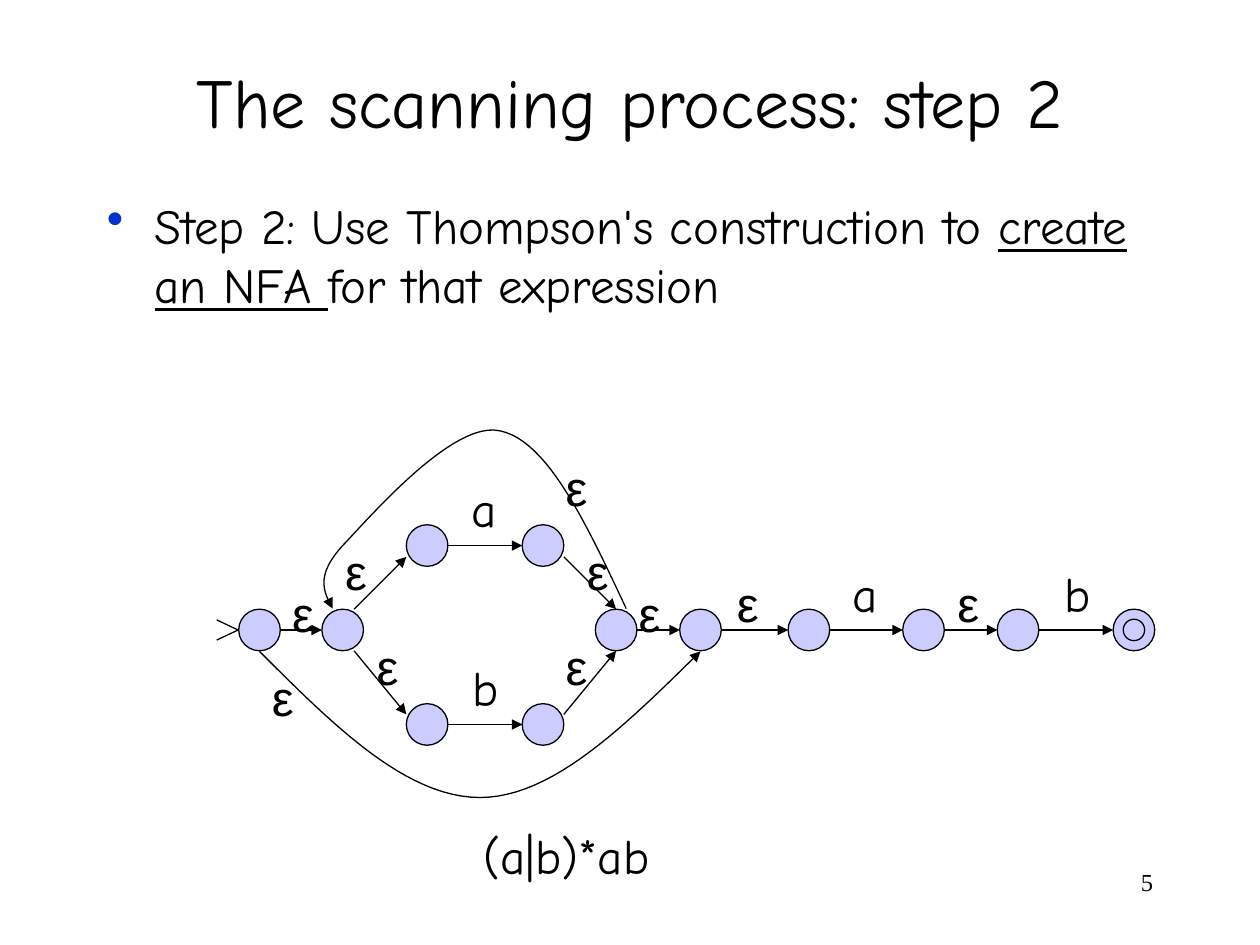
from dataclasses import dataclass

import pptx
import pptx.dml.color
import pptx.enum.shapes
import pptx.enum.text
import pptx.oxml.ns
import pptx.util
from lxml import etree
from pptx.util import Inches

ALIGN = pptx.enum.text.PP_ALIGN
ANCHOR = pptx.enum.text.MSO_ANCHOR


@dataclass(frozen=True)
class Theme:
    ink: str = "000000"
    state: str = "CCCCFF"
    bullet: str = "0033CC"
    hand: str = "Comic Neue"
    symbol: str = "Arial"
    serif: str = "Times New Roman"
    title_size: int = 40
    body_size: int = 28
    number_size: int = 14
    line_width: float = 0.75


def rgb(value):
    return pptx.dml.color.RGBColor.from_string(value)


def add_element(parent, tag, **attributes):
    return etree.SubElement(parent, pptx.oxml.ns.qn(tag), attributes)


def bezier(p0, p1, p2, p3, steps=24):
    """Points along a cubic curve, without its first point."""
    for step in range(1, steps + 1):
        t = step / steps
        weights = ((1 - t) ** 3, 3 * t * (1 - t) ** 2, 3 * t * t * (1 - t), t ** 3)
        yield tuple(sum(w * p[axis] for w, p in zip(weights, (p0, p1, p2, p3)))
                    for axis in (0, 1))


class AutomatonSlide:
    def __init__(self, presentation, theme):
        self.theme = theme
        self.slide = presentation.slides.add_slide(presentation.slide_layouts[6])
        self.shapes = self.slide.shapes

    def text(self, box, runs, size, font, align=ALIGN.LEFT, anchor=ANCHOR.TOP,
             wrap=True, bullet=False):
        """Add one paragraph; runs holds (text, underlined) pairs."""
        shape = self.shapes.add_textbox(*map(Inches, box))
        frame = shape.text_frame
        frame.word_wrap = wrap
        frame.vertical_anchor = anchor
        paragraph = frame.paragraphs[0]
        paragraph.alignment = align
        if bullet:
            self.add_bullet(paragraph)
        paragraph.font.size = pptx.util.Pt(size)
        paragraph.font.name = font
        paragraph.font.color.rgb = rgb(self.theme.ink)
        for words, underlined in runs:
            run = paragraph.add_run()
            run.text = words
            if underlined:
                run.font.underline = True
        return shape

    def add_bullet(self, paragraph):
        properties = paragraph._p.get_or_add_pPr()
        properties.set("marL", str(Inches(0.38)))
        properties.set("indent", str(-Inches(0.38)))
        color = add_element(properties, "a:buClr")
        add_element(color, "a:srgbClr", val=self.theme.bullet)
        add_element(properties, "a:buChar", char="•")

    def label(self, left, top, words, width):
        font = self.theme.symbol if words == "ε" else self.theme.hand
        shape = self.text((left, top, width, 0.57), [(words, False)],
                          self.theme.body_size, font, wrap=False)
        shape.text_frame.auto_size = pptx.enum.text.MSO_AUTO_SIZE.SHAPE_TO_FIT_TEXT

    def circle(self, x, y, diameter):
        shape = self.shapes.add_shape(
            pptx.enum.shapes.MSO_SHAPE.OVAL, Inches(x - diameter / 2),
            Inches(y - diameter / 2), Inches(diameter), Inches(diameter))
        shape.shadow.inherit = False
        shape.fill.solid()
        shape.fill.fore_color.rgb = rgb(self.theme.state)
        self.style_line(shape.line)

    def style_line(self, line, arrow=False):
        line.color.rgb = rgb(self.theme.ink)
        line.width = pptx.util.Pt(self.theme.line_width)
        if arrow:
            add_element(line._get_or_add_ln(), "a:tailEnd", type="triangle")

    def line(self, start, end, arrow=True):
        connector = self.shapes.add_connector(
            pptx.enum.shapes.MSO_CONNECTOR.STRAIGHT, *map(Inches, (*start, *end)))
        self.style_line(connector.line, arrow)
        add_element(connector._element.spPr, "a:effectLst")

    def curve(self, start, *segments):
        points = []
        current = start
        for segment in segments:
            points.extend(bezier(current, *segment))
            current = segment[-1]
        builder = self.shapes.build_freeform(*map(Inches, start))
        builder.add_line_segments([(Inches(x), Inches(y)) for x, y in points], close=False)
        shape = builder.convert_to_shape()
        shape.shadow.inherit = False
        shape.fill.background()
        self.style_line(shape.line, arrow=True)


def main():
    presentation = pptx.Presentation()
    presentation.slide_width = Inches(10)
    presentation.slide_height = Inches(7.5)
    theme = Theme()
    page = AutomatonSlide(presentation, theme)

    # Heading, statement and page number
    page.text((0.75, 0.17, 8.5, 1.25), [("The scanning process: step 2", False)],
              theme.title_size, theme.hand, ALIGN.CENTER, ANCHOR.MIDDLE)
    page.text((0.75, 1.5, 8.5, 5.58),
              [("Step 2: Use Thompson's construction to ", False),
               ("create an NFA ", True), ("for that expression", False)],
              theme.body_size, theme.hand, bullet=True)
    page.text((7.17, 6.83, 2.08, 0.5), [("5", False)],
              theme.number_size, theme.serif, ALIGN.RIGHT)

    # States: the main row, with the a and b branches above and below
    diameter = 0.33
    radius = diameter / 2
    upper, middle, lower = 4.33, 5, 5.75
    main_row = (2.06, 2.72, 4.89, 5.56, 6.42, 7.33, 8.08, 9)
    branch = (3.39, 4.31)
    for y, columns in ((upper, branch), (middle, main_row), (lower, branch)):
        for x in columns:
            page.circle(x, y, diameter)
    page.circle(main_row[-1], middle, 0.17)

    # Horizontal transitions
    for y, columns in ((upper, branch), (middle, main_row[:2]),
                       (middle, main_row[2:]), (lower, branch)):
        for left, right in zip(columns, columns[1:]):
            page.line((left + radius, y), (right - radius, y))

    # Transitions into and out of the branches
    for branch_y, side_y in ((4.42, middle - radius), (5.67, middle + radius)):
        page.line((2.81, side_y), (branch[0] - radius, branch_y))
        page.line((branch[1] + radius, branch_y), (main_row[2], side_y))

    # Start marker
    for y in (4.92, 5.08):
        page.line((1.72, y), (1.89, middle), arrow=False)

    # Skip and repeat transitions
    page.curve((2.06, 5.17),
               ((2.64, 5.75), (3.22, 6.33), (3.81, 6.33)),
               ((4.39, 6.33), (4.97, 5.75), (5.56, 5.17)))
    page.curve((4.97, 4.83),
               ((4.66, 4.17), (4.35, 3.5), (3.97, 3.42)),
               ((3.6, 3.33), (2.94, 4.1), (2.72, 4.33)),
               ((2.5, 4.57), (2.57, 4.7), (2.64, 4.83)))

    # Transition labels and the expression
    for left, top in ((2.64, 4.25), (2.89, 5), (4.56, 4.25), (4.39, 5), (2.22, 4.58),
                      (4.97, 4.58), (2.06, 5.25), (4.39, 3.58), (5.75, 4.5), (7.5, 4.5)):
        page.label(left, top, "ε", 0.37)
    for left, top, words in ((3.64, 3.75, "a"), (3.65, 5.17, "b"),
                             (6.67, 4.42, "a"), (8.35, 4.42, "b")):
        page.label(left, top, words, 0.4)
    page.label(3.74, 6.5, "(a|b)*ab", 1.6)

    presentation.save("out.pptx")


if __name__ == "__main__":
    main()
